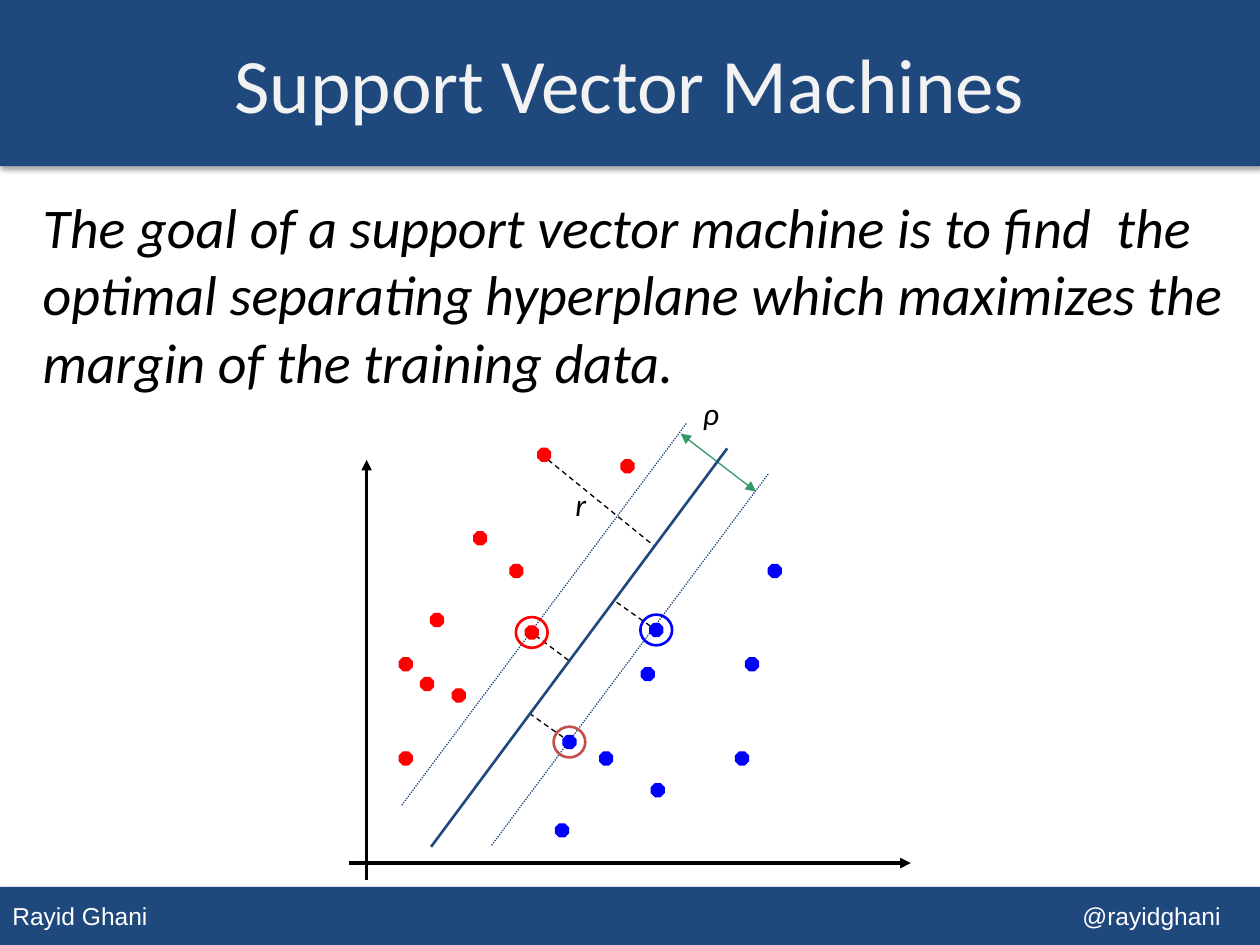
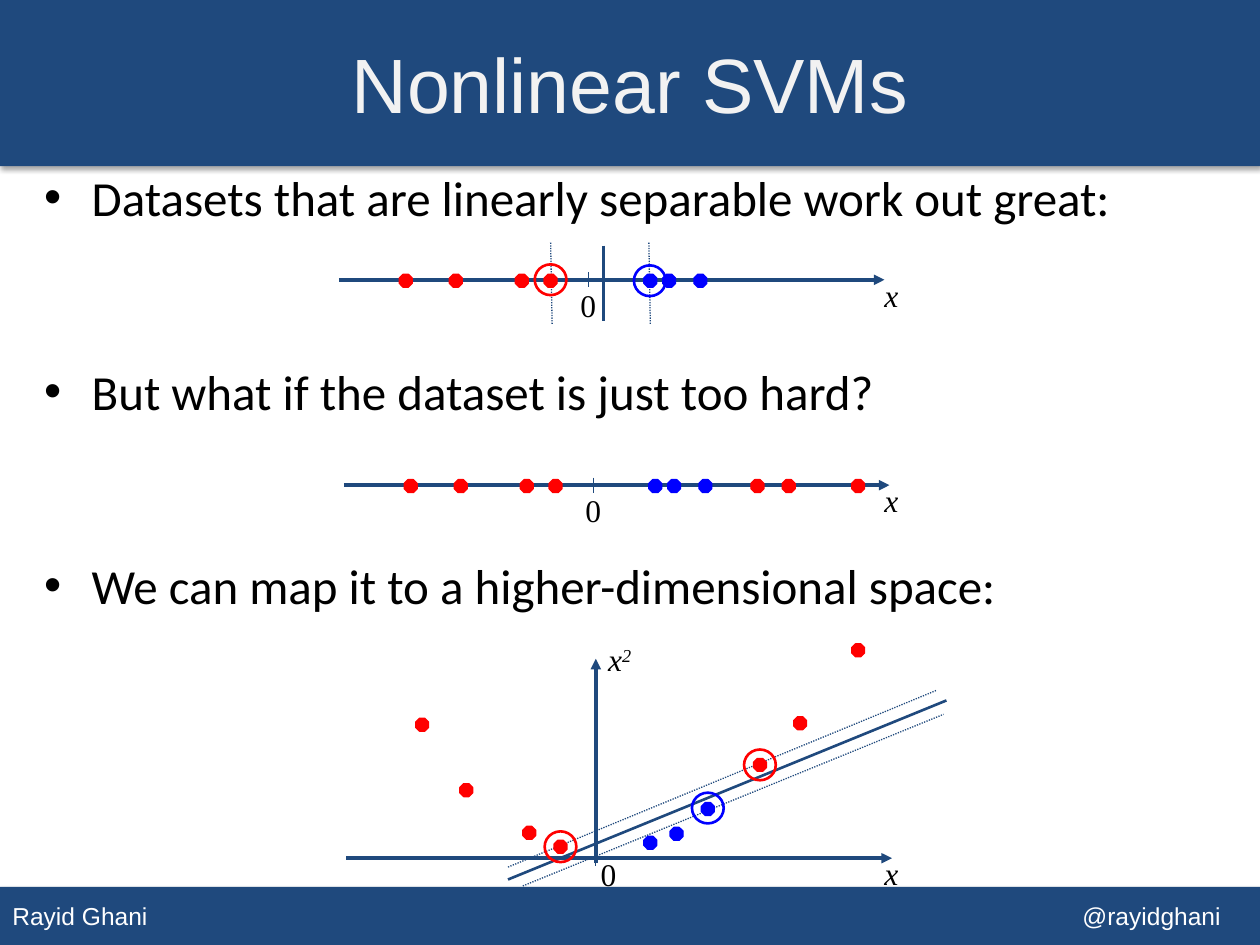
"""Build two slides on linear and nonlinear support vector machines."""
from dataclasses import dataclass

from lxml.etree import SubElement
from pptx import Presentation
from pptx.dml.color import RGBColor
from pptx.enum.dml import MSO_LINE
from pptx.enum.shapes import MSO_CONNECTOR, MSO_SHAPE
from pptx.enum.text import MSO_ANCHOR, PP_ALIGN
from pptx.oxml.ns import qn
from pptx.util import Cm, Pt


@dataclass(frozen=True)
class Theme:
    navy: RGBColor = RGBColor(0x1F, 0x49, 0x7D)
    white: RGBColor = RGBColor(0xFF, 0xFF, 0xFF)
    title_grey: RGBColor = RGBColor(0xF2, 0xF2, 0xF2)
    black: RGBColor = RGBColor(0, 0, 0)
    red: RGBColor = RGBColor(0xFF, 0, 0)
    blue: RGBColor = RGBColor(0, 0, 0xFF)
    brick: RGBColor = RGBColor(0xC0, 0x50, 0x4D)
    green: RGBColor = RGBColor(0x33, 0x99, 0x66)
    sans: str = "Calibri"
    plain: str = "Arial"
    serif: str = "Times New Roman"
    title_size: int = 44
    goal_size: int = 32
    bullet_size: int = 28
    label_size: int = 18
    footer_size: int = 14
    hairline: float = 0.75
    medium: float = 1.5
    thick: float = 2


theme = Theme()


def draw_line(page, ends, color, width, dash=None, arrows=()):
    connector = page.shapes.add_connector(
        MSO_CONNECTOR.STRAIGHT, *[Cm(value) for value in ends])
    connector.line.color.rgb = color
    connector.line.width = Pt(width)
    if dash:
        connector.line.dash_style = dash
    for arrow in arrows:
        SubElement(connector.line._get_or_add_ln(), qn("a:" + arrow), type="triangle")
    SubElement(connector._element.spPr, qn("a:effectLst"))


def write_text(page, area, text, font, size, italic=False):
    box = page.shapes.add_textbox(*[Cm(value) for value in area])
    frame = box.text_frame
    frame.word_wrap = True
    frame.text = text
    for paragraph in frame.paragraphs:
        for span in paragraph.runs:
            span.font.name = font
            span.font.size = Pt(size)
            span.font.italic = italic
            span.font.color.rgb = theme.black
    return frame


deck = Presentation()
deck.slide_width, deck.slide_height = Cm(25.4), Cm(19.05)
title_only = deck.slide_layouts[5]
pages = []
for heading, heading_font in [("Support Vector Machines", theme.sans),
                              ("Nonlinear SVMs", theme.plain)]:
    page = deck.slides.add_slide(title_only)
    title = page.shapes.title
    title.left, title.top, title.width, title.height = Cm(0), Cm(0.08), Cm(25.4), Cm(3.18)
    title.text_frame.text = heading
    title.text_frame.vertical_anchor = MSO_ANCHOR.MIDDLE
    title.text_frame.paragraphs[0].alignment = PP_ALIGN.CENTER
    span = title.text_frame.paragraphs[0].runs[0]
    span.font.name = heading_font
    span.font.size = Pt(theme.title_size)
    span.font.color.rgb = theme.title_grey
    pages.append(page)
linear_page, nonlinear_page = pages

master_tree = deck.slide_master.shapes._spTree
for band_id, top, height, text in [(101, 0, 3.35, ""),
                                   (102, 17.88, 1.17, "Rayid Ghani\t@rayidghani")]:
    band = linear_page.shapes.add_shape(
        MSO_SHAPE.RECTANGLE, Cm(0), Cm(top), Cm(25.4), Cm(height))
    band.fill.solid()
    band.fill.fore_color.rgb = theme.navy
    band.line.fill.background()
    band.shadow.inherit = False
    shadow = SubElement(
        band._element.spPr.find(qn("a:effectLst")), qn("a:outerShdw"),
        blurRad=str(Pt(3.1)), dist=str(Pt(1.8)), dir="5400000", rotWithShape="0")
    shade = SubElement(shadow, qn("a:srgbClr"), val=str(theme.black))
    SubElement(shade, qn("a:alpha"), val="35000")
    if text:
        band.text_frame.text = text
        band.text_frame.vertical_anchor = MSO_ANCHOR.MIDDLE
        paragraph = band.text_frame.paragraphs[0]
        paragraph.alignment = PP_ALIGN.LEFT
        tabs = SubElement(paragraph._p.get_or_add_pPr(), qn("a:tabLst"))
        SubElement(tabs, qn("a:tab"), pos=str(Cm(24.36)), algn="r")
        for span in paragraph.runs:
            span.font.name = theme.plain
            span.font.size = Pt(theme.footer_size)
            span.font.color.rgb = theme.white
    band._element.nvSpPr.cNvPr.set("id", str(band_id))
    master_tree.insert(2, band._element)

write_text(linear_page, (0.61, 3.76, 24.31, 13.77),
           "The goal of a support vector machine is to find  the optimal separating "
           "hyperplane which maximizes the margin of the training data.",
           theme.sans, theme.goal_size, italic=True)
for axis in [(7.39, 17.73, 7.39, 9.27), (7.04, 17.4, 18.36, 17.4)]:
    draw_line(linear_page, axis, theme.black, theme.thick, arrows=["tailEnd"])
for distance in [(11.05, 9.27, 13.18, 11), (13.11, 12.62, 12.4, 12.12),
                 (11.35, 14.86, 10.67, 14.38), (11.46, 13.31, 10.82, 12.83)]:
    draw_line(linear_page, distance, theme.black, theme.hairline, MSO_LINE.DASH)
draw_line(linear_page, (13.72, 8.74, 15.24, 9.91), theme.green, theme.hairline,
          arrows=["headEnd", "tailEnd"])
for symbol, left, top in [("r", 11.35, 9.65), ("ρ", 13.92, 7.82)]:
    write_text(linear_page, (left, top, 1.37, 1.27), symbol,
               theme.sans, theme.label_size, italic=True)

bullets = write_text(nonlinear_page, (0.64, 3.25, 24.33, 13.97),
                     "Datasets that are linearly separable work out great:\n"
                     "But what if the dataset is just too hard?\n"
                     "We can map it to a higher-dimensional space:",
                     theme.sans, theme.bullet_size)
for index, paragraph in enumerate(bullets.paragraphs):
    properties = paragraph._p.get_or_add_pPr()
    properties.set("marL", str(Cm(0.96)))
    properties.set("indent", str(Cm(-0.96)))
    SubElement(properties, qn("a:buFont"), typeface=theme.plain)
    SubElement(properties, qn("a:buChar"), char="•")
    if index:
        paragraph.space_before = Pt(77.2)

separable, hard, mapped = (11.86, 5.64), (11.96, 9.78), (12.01, 17.3)
for (x, y), zero_left, zero_top in [(separable, -0.41, 0), (hard, -0.41, 0),
                                    (mapped, -0.15, -0.18)]:
    draw_line(nonlinear_page, (x - 5.03, y, x + 5.97, y), theme.navy, theme.thick,
              arrows=["tailEnd"])
    draw_line(nonlinear_page, (x, y - 0.15, x, y + 0.15), theme.navy, theme.hairline)
    write_text(nonlinear_page, (x + zero_left, y + zero_top, 0.97, 1.02), "0",
               theme.serif, theme.label_size)
    write_text(nonlinear_page, (17.58, y - 0.2, 1.27, 1.02), "x",
               theme.serif, theme.label_size, italic=True)
draw_line(nonlinear_page, (12.01, 17.4, 12.01, 13.28), theme.navy, theme.thick,
          arrows=["tailEnd"])
square = write_text(nonlinear_page, (12.01, 12.78, 1.27, 1.02), "x",
                    theme.serif, theme.label_size, italic=True).paragraphs[0]
power = square.add_run()
power.text = "2"
power.font.name = theme.serif
power.font.size = Pt(theme.label_size)
power.font.italic = True
power.font.color.rgb = theme.black
power._r.get_or_add_rPr().set("baseline", "30000")

separators = [
    (linear_page, (8.69, 17.07, 14.66, 9.04),
     [(9.91, 17.04, 15.49, 9.55), (8.1, 16.23, 13.84, 8.53)]),
    (nonlinear_page, (12.17, 4.95, 12.17, 6.48),
     [(13.11, 6.53, 13.08, 4.88), (11.13, 6.53, 11.1, 4.88)]),
    (nonlinear_page, (10.24, 17.73, 19.08, 14.12),
     [(10.24, 17.48, 18.87, 13.92), (10.54, 17.86, 19.02, 14.4)]),
]
for page, hyperplane, margins in separators:
    draw_line(page, hyperplane, theme.navy, theme.medium)
    for margin in margins:
        draw_line(page, margin, theme.navy, theme.hairline, MSO_LINE.ROUND_DOT)

near_reds, near_blues = [-3.68, -2.67, -1.34, -0.76], [1.25, 1.63, 2.26]
far_reds = [3.31, 3.94, 5.34]
samples = [
    (linear_page, theme.red, [
        (10.41, 11.51), (8.81, 12.5), (9.25, 14.02), (8.18, 15.29), (9.68, 10.85),
        (8.18, 13.39), (8.61, 13.79), (10.72, 12.75), (10.97, 9.17), (12.65, 9.4)]),
    (linear_page, theme.blue, [
        (13.23, 12.7), (12.22, 15.29), (14.96, 15.29), (11.33, 16.74), (13.06, 13.59),
        (11.48, 14.96), (13.26, 15.93), (15.16, 13.39), (15.62, 11.51)]),
    (nonlinear_page, theme.red, [
        (8.51, 14.61), (9.4, 15.93), (10.67, 16.79), (11.3, 17.07),
        (15.32, 15.42), (16.13, 14.58), (17.3, 13.11)]),
    (nonlinear_page, theme.blue, [(13.64, 16.81), (14.27, 16.31), (13.11, 16.99)]),
]
for (x, y), reds in [(separable, near_reds), (hard, near_reds + far_reds)]:
    for color, offsets in [(theme.red, reds), (theme.blue, near_blues)]:
        samples.append((nonlinear_page, color, [(x + step, y + 0.02) for step in offsets]))
for page, color, centres in samples:
    for x, y in centres:
        dot = page.shapes.add_shape(
            MSO_SHAPE.OCTAGON, Cm(x - 0.13), Cm(y - 0.13), Cm(0.26), Cm(0.26))
        dot.shadow.inherit = False
        dot.fill.solid()
        dot.fill.fore_color.rgb = color
        dot.line.color.rgb = color
        dot.line.width = Pt(theme.hairline)

support_vectors = [
    (linear_page, theme.red, 10.72, 12.75), (linear_page, theme.brick, 11.48, 14.96),
    (linear_page, theme.blue, 13.23, 12.7),
    (nonlinear_page, theme.red, 11.1, 5.64), (nonlinear_page, theme.blue, 13.1, 5.66),
    (nonlinear_page, theme.red, 15.32, 15.42), (nonlinear_page, theme.blue, 14.27, 16.29),
    (nonlinear_page, theme.red, 11.3, 17.07),
]
for page, color, x, y in support_vectors:
    ring = page.shapes.add_shape(
        MSO_SHAPE.OVAL, Cm(x - 0.32), Cm(y - 0.31), Cm(0.64), Cm(0.62))
    ring.shadow.inherit = False
    ring.fill.background()
    ring.line.color.rgb = color
    ring.line.width = Pt(theme.medium)

deck.save("out.pptx")
